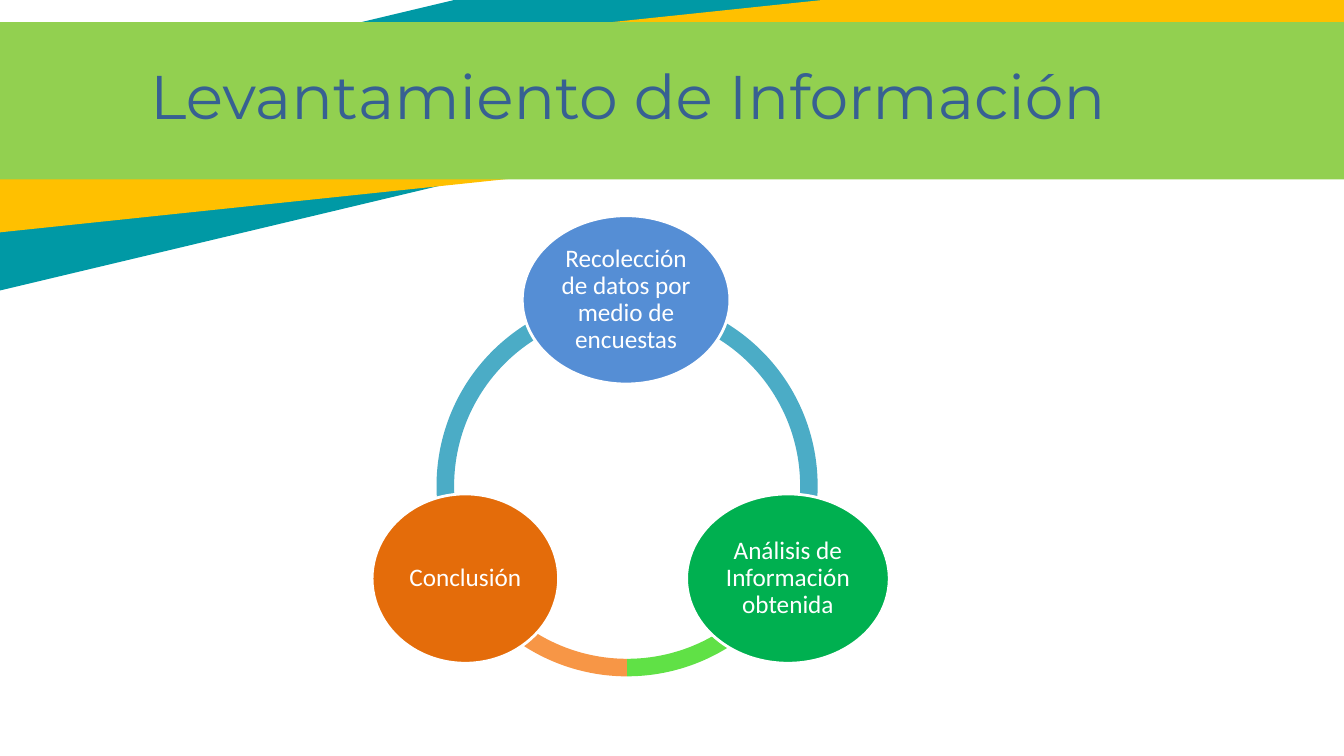
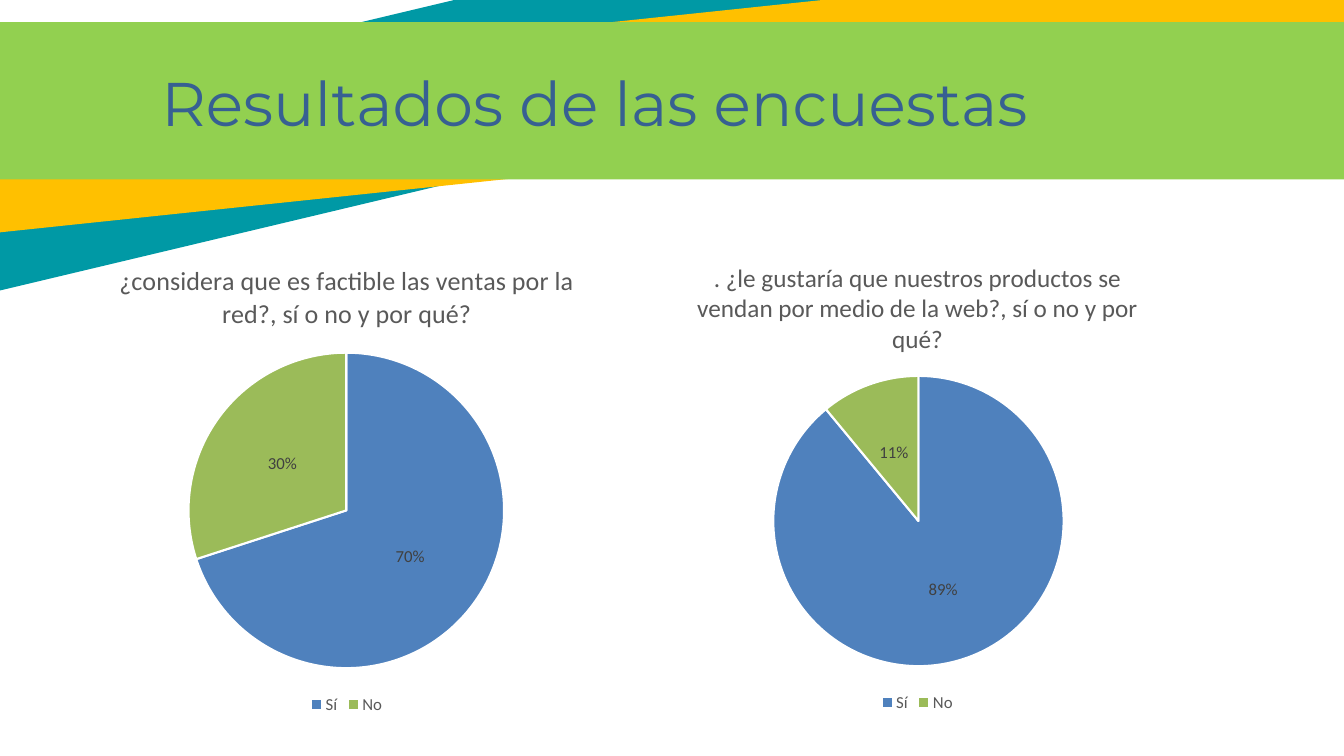
from lxml import etree
from pptx import Presentation
from pptx.chart.data import CategoryChartData
from pptx.dml.color import RGBColor
from pptx.enum import chart as charts, shapes, text
from pptx.oxml import ns
from pptx.util import Inches, Pt

TEAL, AMBER, GREEN = "0099A5", "FFC000", "92D050"
WHITE, TITLE_BLUE, GREY, DARK_GREY = "FFFFFF", "376092", "595959", "404040"
SLICE_COLOURS = ("4F81BD", "9BBB59")
BODY_FONT, TITLE_FONT = "Calibri", "Montserrat"


def colour(value):
    return RGBColor.from_string(value)


def box(left, top, width, height):
    return [Inches(length) for length in (left, top, width, height)]


class Deck:
    def __init__(self):
        self.presentation = Presentation()
        self.presentation.slide_width = Inches(13.33)
        self.presentation.slide_height = Inches(7.5)
        self.layout = self.presentation.slide_layouts[5]
        self.slide = None

    def add_slide(self, title, left, top, width, height):
        first = self.slide is None
        self.slide = self.presentation.slides.add_slide(self.layout)
        if first:
            self.add_bands()
        shape = self.slide.shapes.title
        shape.left, shape.top, shape.width, shape.height = box(left, top, width, height)
        frame = shape.text_frame
        frame.text = title
        frame.vertical_anchor = text.MSO_ANCHOR.TOP
        paragraph = frame.paragraphs[0]
        paragraph.alignment = text.PP_ALIGN.CENTER
        self.style_font(paragraph.runs[0].font, 44, TITLE_BLUE, TITLE_FONT)

    def add_bands(self):
        rectangle = shapes.MSO_SHAPE.RECTANGLE
        bands = (
            (TEAL, -13.4, (-3.34, -0.18, 17.41, 1.76)),
            (AMBER, -6, (-1.46, 0.2, 15.5, 1.44)),
            (GREEN, 0, (-1.41, 0.22, 15.5, 1.56)),
        )
        for index, (fill, rotation, bounds) in enumerate(bands):
            band = self.add_shape(rectangle, fill, *bounds)
            band.rotation = rotation
            self.layout.shapes.element.insert(2 + index, band.element)

    def style_font(self, font, size, value, name=BODY_FONT):
        font.size, font.name, font.bold = Pt(size), name, False
        font.color.rgb = colour(value)

    def add_shape(self, kind, fill, *bounds):
        shape = self.slide.shapes.add_shape(kind, *box(*bounds))
        shape.shadow.inherit = False
        shape.fill.solid()
        shape.fill.fore_color.rgb = colour(fill)
        shape.line.fill.background()
        return shape

    def add_arc(self, fill, start, end):
        arc = self.add_shape(shapes.MSO_SHAPE.BLOCK_ARC, fill, 4.33, 2.93, 3.78, 3.78)
        for index, value in enumerate((start * 0.6, end * 0.6, 0.046)):
            arc.adjustments[index] = value

    def add_step(self, label, fill, *bounds):
        ellipse = self.add_shape(shapes.MSO_SHAPE.OVAL, fill, *bounds)
        ellipse.line.color.rgb = colour(WHITE)
        ellipse.line.width = Pt(2)
        frame = ellipse.text_frame
        frame.text = label
        frame.word_wrap = True
        frame.vertical_anchor = text.MSO_ANCHOR.MIDDLE
        frame.margin_left = frame.margin_right = Inches(0.03)
        frame.margin_top = frame.margin_bottom = Inches(0.03)
        paragraph = frame.paragraphs[0]
        paragraph.alignment = text.PP_ALIGN.CENTER
        paragraph.line_spacing = 0.9
        self.style_font(paragraph.runs[0].font, 18, WHITE)

    def add_pie(self, title, title_size, values, bounds, pie_left, pie_top, diameter):
        data = CategoryChartData(number_format="0%")
        data.categories = ["Sí", "No"]
        data.add_series("Series 1", values)
        chart = self.slide.shapes.add_chart(charts.XL_CHART_TYPE.PIE, *box(*bounds), data).chart
        chart.font.size, chart.font.name = Pt(10), BODY_FONT

        frame = chart.chart_title.text_frame
        frame.text = title
        self.style_font(frame.paragraphs[0].runs[0].font, title_size, GREY)
        chart.chart_title.include_in_layout = False

        chart.has_legend = True
        chart.legend.position = charts.XL_LEGEND_POSITION.BOTTOM
        chart.legend.include_in_layout = False
        self.style_font(chart.legend.font, 12, GREY)

        plot = chart.plots[0]
        plot.vary_by_categories = True
        plot.has_data_labels = True
        labels = plot.data_labels
        labels.show_value = True
        labels.show_percentage = False
        labels.number_format, labels.number_format_is_linked = "0%", False
        labels.position = charts.XL_LABEL_POSITION.CENTER
        self.style_font(labels.font, 12, DARK_GREY)
        for index, value in enumerate(SLICE_COLOURS):
            point_format = plot.series[0].points[index].format
            point_format.fill.solid()
            point_format.fill.fore_color.rgb = colour(value)
            point_format.line.color.rgb = colour(WHITE)
            point_format.line.width = Pt(1.5)

        left, top, width, height = bounds
        self.place_plot(chart, {
            "x": (pie_left - left) / width,
            "y": (pie_top - top) / height,
            "w": diameter / width,
            "h": diameter / height,
        })

    def place_plot(self, chart, fractions):
        area = chart.element.find(".//" + ns.qn("c:plotArea"))
        for old in area.findall(ns.qn("c:layout")):
            area.remove(old)
        layout = etree.Element(ns.qn("c:layout"))
        manual = etree.SubElement(layout, ns.qn("c:manualLayout"))
        settings = {"layoutTarget": "inner", "xMode": "edge", "yMode": "edge", **fractions}
        for tag, value in settings.items():
            etree.SubElement(manual, ns.qn("c:" + tag)).set("val", str(value))
        area.insert(0, layout)


def main():
    deck = Deck()

    deck.add_slide("Levantamiento de Información", 0.52, 0.52, 11.42, 1.17)
    for fill, start, end in (("F79646", 90, 162), ("60E146", 18, 90), ("4BACC6", 162, 18)):
        deck.add_arc(fill, start, end)
    deck.add_step("Recolección de datos por medio de encuestas", "558ED5", 5.18, 2.14, 2.06, 1.67)
    deck.add_step("Análisis de Información obtenida", "00B050", 6.81, 4.9, 2.01, 1.68)
    deck.add_step("Conclusión", "E46C0A", 3.69, 4.9, 1.85, 1.68)

    deck.add_slide("Resultados de las encuestas", 0.4, 0.59, 11, 1.17)
    deck.add_pie("¿considera que es factible las ventas por la red?, sí o no y por qué?",
                 18.6, (0.7, 0.3), (0.37, 2.41, 6.14, 4.72), 1.87, 3.5, 3.13)
    deck.add_pie(". ¿le gustaría que nuestros productos se vendan por medio de la web?, sí o no y por qué?",
                 18, (0.89, 0.11), (6.11, 2.39, 5.98, 4.72), 7.67, 3.73, 2.88)

    deck.presentation.save("out.pptx")


if __name__ == "__main__":
    main()
